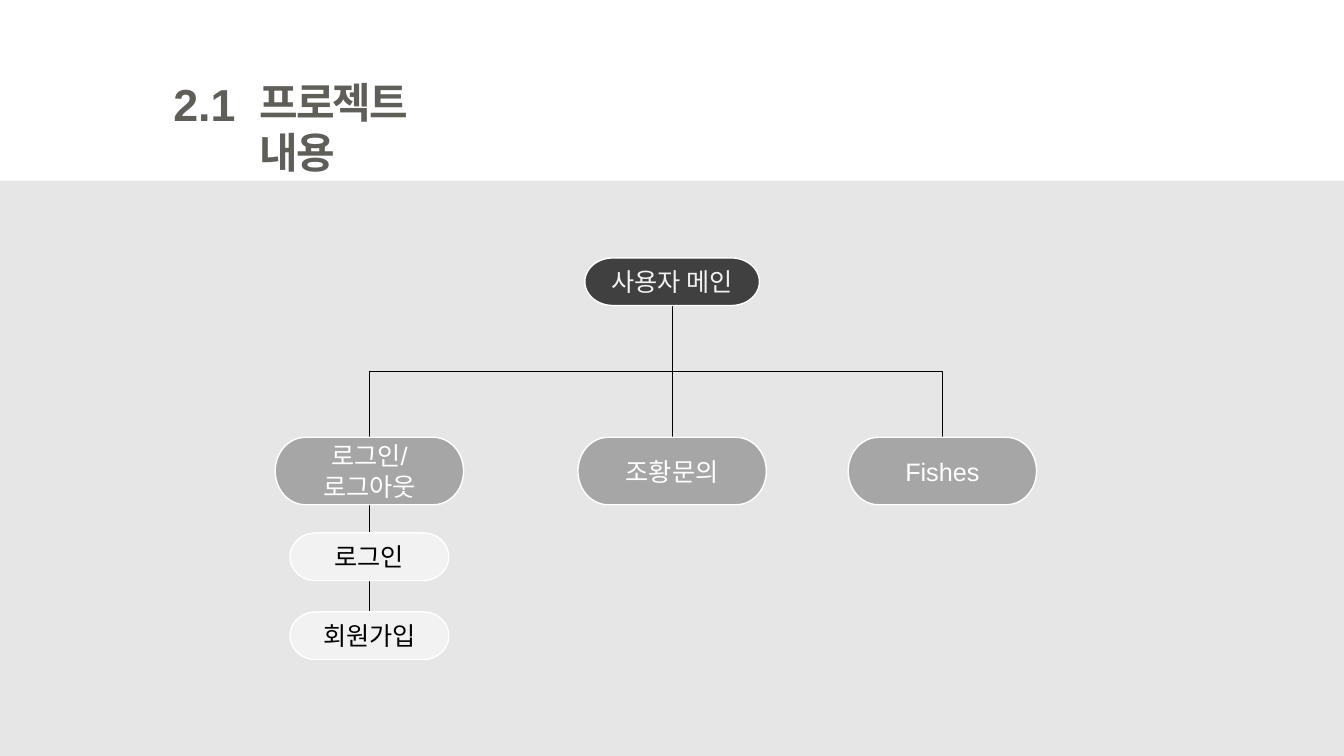
from lxml.etree import SubElement
from pptx import Presentation
from pptx.dml.color import RGBColor
from pptx.enum.shapes import MSO_CONNECTOR, MSO_SHAPE
from pptx.enum.text import MSO_ANCHOR, PP_ALIGN
from pptx.oxml.ns import qn
from pptx.util import Cm, Pt

WHITE = RGBColor(0xFF, 0xFF, 0xFF)
BLACK = RGBColor(0, 0, 0)
TITLE_GRAY = RGBColor(0x5F, 0x5E, 0x58)
PANEL_GRAY = RGBColor(0xE7, 0xE6, 0xE6)
DARK = RGBColor(0x40, 0x40, 0x40)
MEDIUM = RGBColor(0xA6, 0xA6, 0xA6)
LIGHT = RGBColor(0xF2, 0xF2, 0xF2)

LATIN_FONT = "Arial"
KOREAN_FONT = "Noto Sans CJK KR"

MAIN_X, MAIN_BOTTOM = 16.94, 7.7
MENU_TOP, MENU_HEIGHT = 11.02, 1.7
PAGE_HEIGHT = 1.2


def write_text(frame, text, size=18, color=BLACK, bold=False,
               align=PP_ALIGN.CENTER, font=LATIN_FONT, spacing=None):
    """Write each line of text as a formatted paragraph."""
    for index, line in enumerate(text.split("\n")):
        para = frame.add_paragraph() if index else frame.paragraphs[0]
        para.alignment = align
        span = para.add_run()
        span.text = line
        span.font.size = Pt(size)
        span.font.bold = bold
        span.font.name = font
        span.font.color.rgb = color
        properties = span.font._element
        SubElement(properties, qn("a:ea")).set("typeface", KOREAN_FONT)
        if spacing is not None:
            properties.set("spc", str(int(spacing * 100)))


def add_panel(page, top, width, height):
    """Add the gray area below the title."""
    panel = page.shapes.add_shape(MSO_SHAPE.RECTANGLE, 0, Cm(top), width, Cm(height))
    panel.shadow.inherit = False
    panel.fill.solid()
    panel.fill.fore_color.rgb = PANEL_GRAY
    panel.line.fill.background()


def add_label(page, left, top, width, height, text, wrap=False, right_inset=0.25, **style):
    """Add a bold title text box."""
    box = page.shapes.add_textbox(Cm(left), Cm(top), Cm(width), Cm(height))
    box.text_frame.word_wrap = wrap
    box.text_frame.margin_right = Cm(right_inset)
    write_text(box.text_frame, text, color=TITLE_GRAY, bold=True, **style)


def add_node(page, center, top, width, height, text, fill, color):
    """Add a rounded node centred on a horizontal position."""
    node = page.shapes.add_shape(MSO_SHAPE.FLOWCHART_TERMINATOR, Cm(center - width / 2),
                                 Cm(top), Cm(width), Cm(height))
    node.shadow.inherit = False
    node.fill.solid()
    node.fill.fore_color.rgb = fill
    node.line.color.rgb = WHITE
    node.line.width = Pt(1)
    frame = node.text_frame
    frame.word_wrap = True
    frame.vertical_anchor = MSO_ANCHOR.MIDDLE
    frame.margin_top = frame.margin_bottom = 0
    write_text(frame, text, color=color)


def add_link(page, start, end, kind=MSO_CONNECTOR.STRAIGHT):
    """Add a thin black connector between two points."""
    link = page.shapes.add_connector(kind, *map(Cm, start + end))
    link.line.color.rgb = BLACK
    link.line.width = Pt(0.5)
    SubElement(link._element.spPr, qn("a:effectLst"))
    return link


def add_branch(page, target):
    """Link the main node to a menu node, bending halfway down."""
    drop = MENU_TOP - MAIN_BOTTOM
    reach = target - MAIN_X
    if not reach:
        add_link(page, (MAIN_X, MAIN_BOTTOM), (target, MENU_TOP))
        return
    middle_x, middle_y = MAIN_X + reach / 2, MAIN_BOTTOM + drop / 2
    half = abs(reach) / 2
    start = (middle_x - drop / 2, middle_y - half)
    end = (middle_x + drop / 2, middle_y + half)
    if reach > 0:
        start, end = (end[0], start[1]), (start[0], end[1])
    link = add_link(page, start, end, MSO_CONNECTOR.ELBOW)
    link.rotation = 270 if reach > 0 else 90


def main():
    """Build the site map slide."""
    deck = Presentation()
    deck.slide_width, deck.slide_height = Cm(33.87), Cm(19.05)
    page = deck.slides.add_slide(deck.slide_layouts[6])

    add_panel(page, 4.55, deck.slide_width, 14.5)
    add_label(page, 4.11, 1.8, 2.08, 1.63, "2.1", size=32, align=PP_ALIGN.RIGHT)
    add_label(page, 6.3, 1.8, 6.25, 1.55, "프로젝트 내용", wrap=True, right_inset=1.2,
              size=30, align=PP_ALIGN.LEFT, font=KOREAN_FONT, spacing=-1.5)

    menus = [(9.31, "로그인/\n로그아웃"), (MAIN_X, "조황문의"), (23.75, "Fishes")]
    login_x = menus[0][0]
    add_link(page, (login_x, MENU_TOP + MENU_HEIGHT), (login_x, 15.42))
    for center, _ in menus:
        add_branch(page, center)

    add_node(page, MAIN_X, 6.5, 4.4, PAGE_HEIGHT, "사용자 메인", DARK, LIGHT)
    for center, text in menus:
        add_node(page, center, MENU_TOP, 4.75, MENU_HEIGHT, text, MEDIUM, WHITE)
    for top, text in [(13.43, "로그인"), (15.42, "회원가입")]:
        add_node(page, login_x, top, 4, PAGE_HEIGHT, text, LIGHT, BLACK)

    deck.save("out.pptx")


if __name__ == "__main__":
    main()
